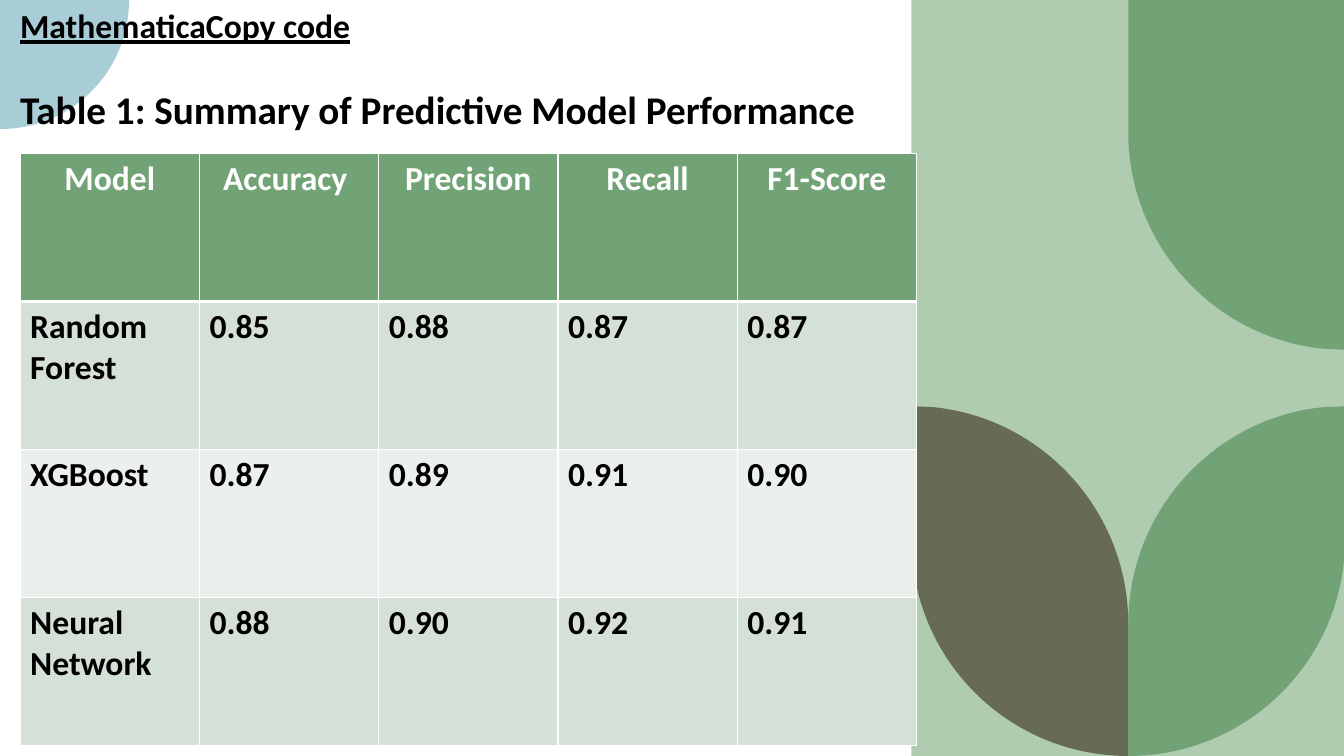
import pptx
import pptx.util
import pptx.dml.color
import pptx.enum.shapes
import pptx.enum.text
import pptx.oxml
import pptx.oxml.ns

Inches, Pt = pptx.util.Inches, pptx.util.Pt
RGBColor = pptx.dml.color.RGBColor

WHITE = RGBColor(0xFF, 0xFF, 0xFF)
BLACK = RGBColor(0, 0, 0)
MINT = RGBColor(0xB0, 0xCC, 0xB0)
GREEN = RGBColor(0x72, 0xA3, 0x76)
OLIVE = RGBColor(0x67, 0x6A, 0x55)
BLUE = RGBColor(0xA8, 0xCD, 0xD7)
BANDS = [RGBColor(0xD5, 0xE0, 0xD6), RGBColor(0xEB, 0xF0, 0xEC)]
FONT = "Calibri"

RESULTS = [
    ["Model", "Accuracy ", "Precision", "Recall", "F1-Score"],
    ["Random Forest", "0.85", "0.88", "0.87", "0.87"],
    ["XGBoost", "0.87", "0.89", "0.91", "0.90"],
    ["Neural Network", "0.88", "0.90", "0.92", "0.91"],
]

# Outlines in inches: one point ends a line, three points make a Bezier curve
LEAF = [[(0, 0)], [(0, 1.32)], [(0, 2.51), (0.96, 3.47), (2.15, 3.47)],
        [(2.15, 2.16)], [(2.15, 1.04), (1.3, 0.12), (0.22, 0.01)]]
PETAL = [[(0, 0)], [(2.15, 0)], [(2.15, 3.47)], [(1.93, 3.46)],
         [(0.85, 3.35), (0, 2.43), (0, 1.31)]]
QUARTER = [[(0, 0)], [(1.28, 0)], [(1.28, 0.71), (0.71, 1.28), (0, 1.28)]]


def paint(shape, color):
    shape.shadow.inherit = False
    shape.fill.solid()
    shape.fill.fore_color.rgb = color
    shape.line.fill.background()


def add_outline(s, left, top, outline, color, mirror_width=None):
    def place(x, y):
        if mirror_width is not None:
            x = mirror_width - x
        return Inches(left + x), Inches(top + y)

    ends = [place(*step[-1]) for step in outline]
    builder = s.shapes.build_freeform(*ends[0], scale=1.0)
    builder.add_line_segments(ends[1:], close=True)
    shape = builder.convert_to_shape()
    paint(shape, color)

    # Bend the straight segments that have control points
    qn = pptx.oxml.ns.qn
    segments = list(shape._element.iter(qn("a:lnTo")))
    for step, segment in zip(outline[1:], segments):
        if len(step) == 3:
            knots = [place(*point) for point in step]
            pts = "".join(f'<a:pt x="{x - shape.left}" y="{y - shape.top}"/>'
                          for x, y in knots)
            curve = pptx.oxml.parse_xml(
                f'<a:cubicBezTo {pptx.oxml.ns.nsdecls("a")}>{pts}</a:cubicBezTo>')
            segment.getparent().replace(segment, curve)


def add_leaf_panel(s, left, top, width, height):
    panel = s.shapes.add_shape(pptx.enum.shapes.MSO_SHAPE.RECTANGLE, Inches(left),
                               Inches(top), Inches(width), Inches(height))
    paint(panel, MINT)
    half = width / 2
    leaf_top = top + height - 3.47
    add_outline(s, left + half, leaf_top, LEAF, GREEN, mirror_width=half)
    add_outline(s, left, leaf_top, LEAF, OLIVE)
    add_outline(s, left + half, top, PETAL, GREEN)


def add_run(p, text, size, color, underline=None):
    r = p.add_run()
    r.text = text
    r.font.name, r.font.size, r.font.bold = FONT, Pt(size), True
    r.font.underline = underline
    r.font.color.rgb = color


def set_borders(cell, widths):
    """Widths are given in points for the sides L, R, T, B."""
    tc_pr = cell._tc.get_or_add_tcPr()
    for i, (side, width) in enumerate(zip("LRTB", widths)):
        tc_pr.insert(i, pptx.oxml.parse_xml(
            f'<a:ln{side} {pptx.oxml.ns.nsdecls("a")} w="{Pt(width)}">'
            f'<a:solidFill><a:srgbClr val="{WHITE}"/></a:solidFill></a:ln{side}>'))


def add_results_table(s, left, top, width, height):
    rows, cols = len(RESULTS), len(RESULTS[0])
    table = s.shapes.add_table(rows, cols, Inches(left), Inches(top),
                               Inches(width), Inches(height)).table
    for column in table.columns:
        column.width = Inches(width / cols)
    for i, values in enumerate(RESULTS):
        table.rows[i].height = Inches(height / rows)
        header = i == 0
        for j, value in enumerate(values):
            cell = table.cell(i, j)
            cell.fill.solid()
            cell.fill.fore_color.rgb = GREEN if header else BANDS[(i - 1) % 2]
            set_borders(cell, (1, 1, 3 if i == 1 else 1, 3 if header else 1))
            p = cell.text_frame.paragraphs[0]
            if header:
                p.alignment = pptx.enum.text.PP_ALIGN.CENTER
            add_run(p, value, 24, WHITE if header else BLACK)


def add_heading(s, left, top, width, height):
    tf = s.shapes.add_textbox(Inches(left), Inches(top), Inches(width),
                              Inches(height)).text_frame
    tf.word_wrap = True
    add_run(tf.paragraphs[0], "MathematicaCopy code", 24, BLACK, underline=True)
    p = tf.add_paragraph()
    p.space_before = Pt(28.3)
    add_run(p, "Table 1: Summary of Predictive Model Performance", 28, BLACK)


def main():
    prs = pptx.Presentation()
    prs.slide_width, prs.slide_height = Inches(13.33), Inches(7.5)
    s = prs.slides.add_slide(prs.slide_layouts[6])
    # Decoration
    add_leaf_panel(s, 9.04, 0, 4.3, 7.5)
    add_outline(s, 0, 0, QUARTER, BLUE)
    # Content
    add_results_table(s, 0.2, 1.52, 8.89, 5.88)
    add_heading(s, 0.1, 0, 10.52, 1.38)
    prs.save("out.pptx")


if __name__ == "__main__":
    main()
